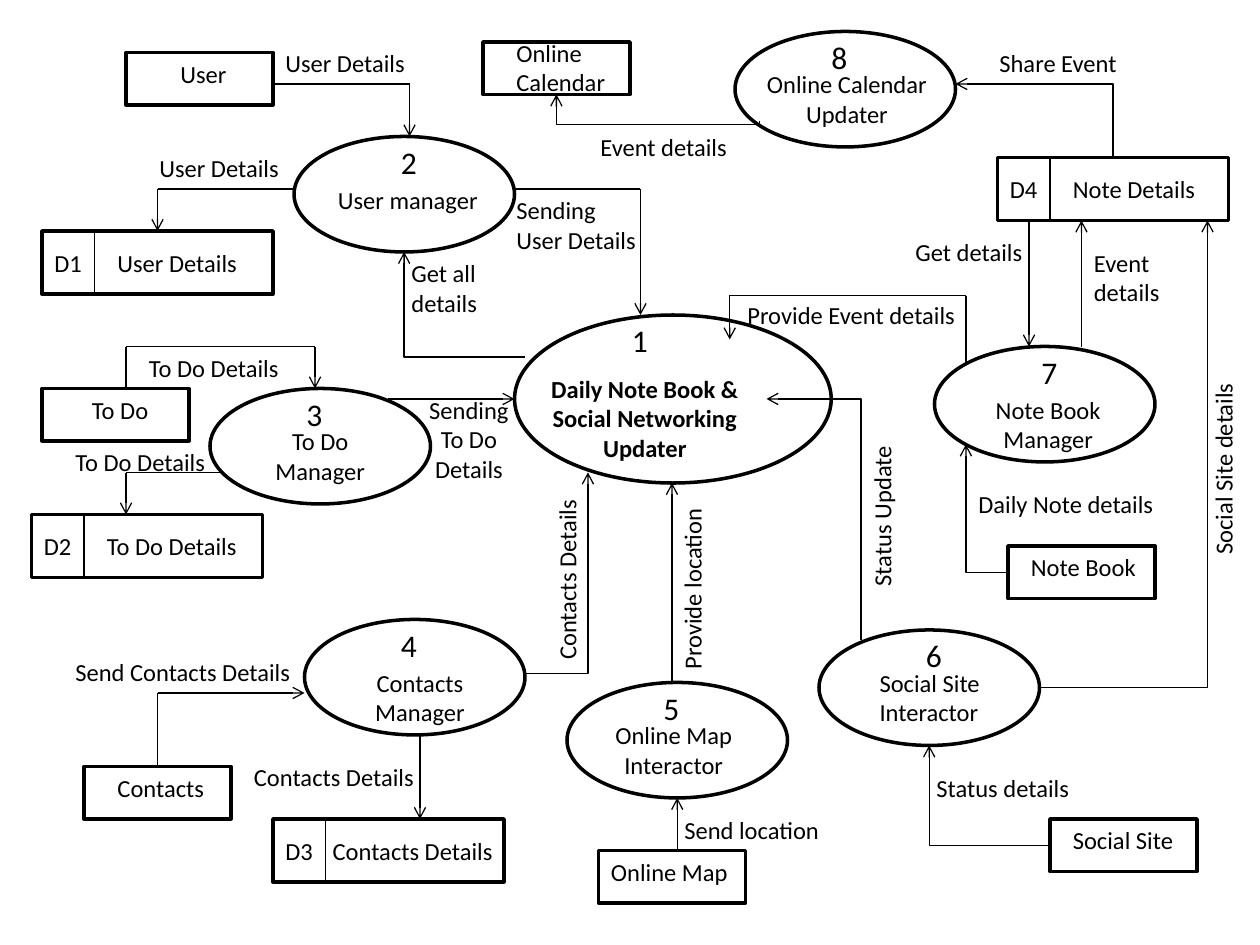
from lxml.etree import SubElement
from pptx import Presentation
from pptx.dml.color import RGBColor
from pptx.enum.shapes import MSO_CONNECTOR, MSO_SHAPE
from pptx.enum.text import PP_ALIGN
from pptx.oxml.ns import qn
from pptx.util import Pt

COLORS = {"ink": "000000", "paper": "FFFFFF"}
INK = RGBColor.from_string(COLORS["ink"])
LEFT, CENTER = PP_ALIGN.LEFT, PP_ALIGN.CENTER

deck = Presentation()
deck.slide_width, deck.slide_height = Pt(720), Pt(540)
slide = deck.slides.add_slide(deck.slide_layouts[6])
slide.background.fill.solid()
slide.background.fill.fore_color.rgb = RGBColor.from_string(COLORS["paper"])


def write(x, y, width, lines, align=LEFT, size=14, bold=False, wrap=False, turn=0):
    height = len(lines) * size * 1.22 + 7.2
    box = slide.shapes.add_textbox(Pt(x), Pt(y), Pt(width), Pt(height))
    box.rotation = turn
    frame = box.text_frame
    frame.word_wrap = wrap
    for index, line in enumerate(lines):
        paragraph = frame.add_paragraph() if index else frame.paragraphs[0]
        paragraph.alignment = align
        run = paragraph.add_run()
        run.text = line
        run.font.name = "Calibri"
        run.font.size = Pt(size)
        run.font.bold = bold
        run.font.color.rgb = INK


def connect(x1, y1, x2, y2, arrow=None, preset="line"):
    line = slide.shapes.add_connector(MSO_CONNECTOR.STRAIGHT, Pt(x1), Pt(y1), Pt(x2), Pt(y2))
    line.line.color.rgb = INK
    line.line.width = Pt(0.75)
    properties = line._element.spPr
    properties.find(qn("a:prstGeom")).set("prst", preset)
    if arrow:
        SubElement(properties.find(qn("a:ln")), qn("a:" + arrow), type="arrow")
    SubElement(properties, qn("a:effectLst"))


entities = [(72, 30), (576, 312), (24, 222), (48, 438), (342, 486), (600, 468), (276, 24)]
processes = [(168, 78), (120, 222), (174, 354), (324, 390), (468, 360), (534, 198), (420, 18)]
stores = [(24, 132, "D1"), (18, 294, "D2"), (156, 468, "D3"), (570, 90, "D4")]

outlines = [(MSO_SHAPE.OVAL, 294, 180, 181, 96)]
outlines += [(MSO_SHAPE.RECTANGLE, x, y, 84, 30) for x, y in entities]
outlines += [(MSO_SHAPE.OVAL, x, y, 126, 66) for x, y in processes]
outlines += [(MSO_SHAPE.RECTANGLE, x, y, 132, 36) for x, y, code in stores]
for preset, x, y, width, height in outlines:
    outline = slide.shapes.add_shape(preset, Pt(x), Pt(y), Pt(width), Pt(height))
    outline.shadow.inherit = False
    outline.fill.background()
    outline.line.color.rgb = INK
    outline.line.width = Pt(2)

for x, y, code in stores:
    connect(x + 30, y, x + 30, y + 36)
    write(x, y + 6, 30, [code])

numbers = [(354, 180), (222, 78), (168, 222), (222, 354), (372, 390), (522, 360), (588, 198), (468, 18)]
for number, (x, y) in enumerate(numbers, 1):
    write(x, y, 24, [str(number)], size=18)

write(306, 210, 125, ["Daily Note Book & Social Networking Updater"], CENTER, bold=True, wrap=True)

centered_names = [
    (150, 240, 66, ["To Do", "Manager"]),
    (198, 378, 84, ["Contacts", "Manager"]),
    (340, 408, 90, ["Online Map", "Interactor"]),
    (557, 222, 84, ["Note Book", "Manager"]),
    (423, 36, 122, ["Online Calendar", "Updater"]),
    (228, 222, 80, ["Sending", "To Do", "Details"]),
]
for x, y, width, lines in centered_names:
    write(x, y, width, lines, CENTER)

left_texts = [
    (96, 30, 41, ["User"]),
    (582, 312, 75, ["Note Book"]),
    (45.5, 222, 47, ["To Do"]),
    (60, 438, 65, ["Contacts"]),
    (342, 486, 90, ["Online Map"]),
    (606, 468, 72, ["Social Site"]),
    (288, 18, 69, ["Online", "Calendar"]),
    (186, 102, 126, ["User manager"]),
    (495.5, 378, 74, ["Social Site", "Interactor"]),
    (60, 138, 84, ["User Details"]),
    (54, 300, 89, ["To Do Details"]),
    (183, 474, 107, ["Contacts Details"]),
    (606, 96, 85, ["Note Details"]),
    (84, 84, 84, ["User Details"]),
    (156, 24, 84, ["User Details"]),
    (288, 108, 86, ["Sending", "User Details"]),
    (36, 252, 89, ["To Do Details"]),
    (78, 198, 89, ["To Do Details"]),
    (36, 372, 174, ["Send Contacts Details"]),
    (138, 432, 107, ["Contacts Details"]),
    (384, 462, 92, ["Send location"]),
    (528, 438, 91, ["Status details"]),
    (228, 144, 54, ["Get all", "details"]),
    (552, 276, 119, ["Daily Note details"]),
    (420, 168, 135, ["Provide Event details"]),
    (618, 138, 53, ["Event", "details"]),
    (516, 132, 76, ["Get details"]),
    (336, 72, 88, ["Event details"]),
    (564, 24, 86, ["Share Event"]),
]
for x, y, width, lines in left_texts:
    write(x, y, width, lines)

upright_labels = [
    (342, 324, 107, "Provide location"),
    (237, 285, 174, "Contacts Details"),
    (417, 243, 174, "Status Update"),
    (642, 255, 114, "Social Site details"),
]
for x, y, width, label in upright_labels:
    write(x, y, width, [label], turn=270)

plain_lines = [
    (156, 48, 234, 48), (72, 198, 180, 198), (90, 108, 168, 108), (294, 108, 366, 108),
    (72, 198, 72, 222), (72, 270, 126, 270), (90, 396, 90, 438), (552, 207, 552, 169),
    (434, 69, 434, 71),
]
for ends in plain_lines:
    connect(*ends)

straight_arrows = [
    (234, 48, 234, 78), (180, 198, 180, 222), (90, 108, 90, 132), (366, 108, 366, 180),
    (222, 228, 294, 228), (72, 270, 72, 294), (90, 396, 174, 396), (240, 420, 240, 468),
    (384, 390, 384, 276), (387, 486, 387, 456), (588, 126, 588, 198), (618, 198, 618, 126),
]
for ends in straight_arrows:
    connect(*ends, arrow="tailEnd")

bent_arrows = [
    (600, 483, 531, 426, "tailEnd"),
    (300, 204, 231, 144, "tailEnd"),
    (300, 385, 336, 270, "tailEnd"),
    (438, 228, 492, 366, "headEnd"),
    (552, 169, 417, 194, "tailEnd"),
    (594, 393, 690, 126, "tailEnd"),
    (576, 327, 552, 254, "tailEnd"),
    (434, 71, 318, 54, "tailEnd"),
    (546, 48, 636, 90, "headEnd"),
]
for ends in bent_arrows:
    connect(*ends, preset="bentConnector2")

deck.save("out.pptx")
